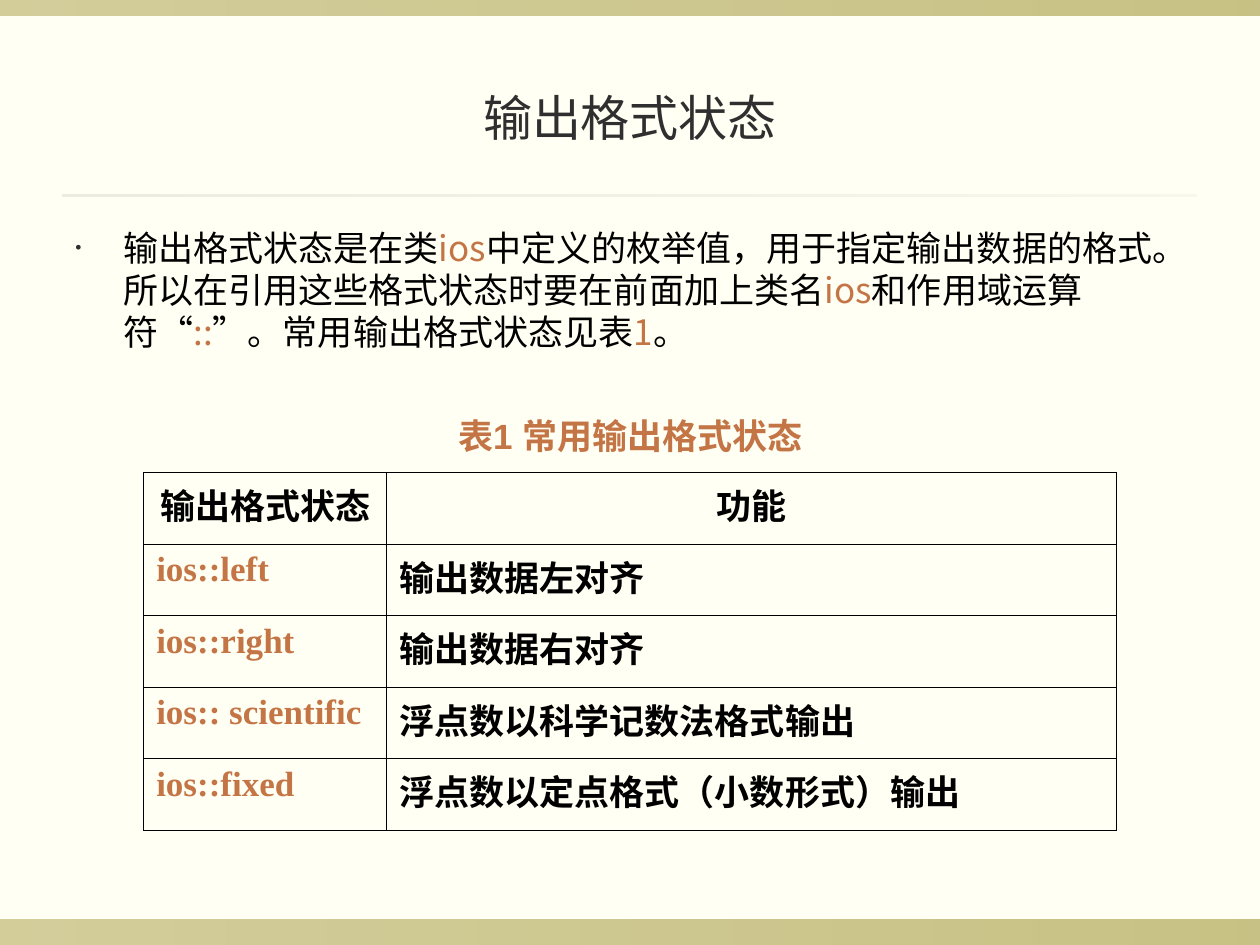
import pptx
import pptx.util
import pptx.dml.color
import pptx.enum.shapes
import pptx.enum.text
import pptx.oxml
import pptx.oxml.ns

Inches, Pt = pptx.util.Inches, pptx.util.Pt
ALIGN = pptx.enum.text.PP_ALIGN
MIDDLE = pptx.enum.text.MSO_ANCHOR.MIDDLE
NS = pptx.oxml.ns.nsdecls("a")

CJK, SERIF = "Noto Sans CJK SC", "Times New Roman"
BLACK, GREY, RUST = "000000", "2F2F2F", "C47546"

TITLE = "输出格式状态"
BODY = [
    ("输出格式状态是在类", BLACK), ("ios", RUST),
    ("中定义的枚举值，用于指定输出数据的格式。所以在引用这些格式状态时要在前面加上类名", BLACK),
    ("ios", RUST), ("和作用域运算符“", BLACK), ("::", RUST),
    ("”。常用输出格式状态见表", BLACK), ("1", RUST), ("。", BLACK),
]
CAPTION = "表1 常用输出格式状态"
ROWS = [
    ("输出格式状态", "功能"),
    ("ios::left", "输出数据左对齐"),
    ("ios::right", "输出数据右对齐"),
    ("ios:: scientific", "浮点数以科学记数法格式输出"),
    ("ios::fixed", "浮点数以定点格式（小数形式）输出"),
]
COLS = (1.93, 5.79)
# left, top, width, height, colour, opacity at left and right
BANDS = [
    (0, 7.3, 10, 0.2, "918415", 40, 50),
    (0, 0, 10, 0.12, "918415", 40, 50),
    (0.5, 1.54, 9, 0.02, "DCD9CC", 50, 20),
]


def rgb(code):
    return pptx.dml.color.RGBColor.from_string(code)


def style(run, size, face, color, bold=False):
    font = run.font
    font.size, font.name, font.bold = Pt(size), face, bold
    font.color.rgb = rgb(color)
    east = pptx.oxml.parse_xml(f'<a:ea {NS} typeface="{CJK}"/>')
    font._element.find(pptx.oxml.ns.qn("a:latin")).addnext(east)


def band(slide, left, top, width, height, color, start, end):
    """Add a bar whose opacity runs from start to end percent."""
    bar = slide.shapes.add_shape(
        pptx.enum.shapes.MSO_SHAPE.RECTANGLE,
        *map(Inches, (left, top, width, height)))
    bar.shadow.inherit = False
    bar.line.fill.background()
    bar.fill.gradient()
    bar.fill.gradient_angle = 0
    for stop, alpha in zip(bar.fill.gradient_stops, (start, end)):
        stop.color.rgb = rgb(color)
        stop._gs[0].append(
            pptx.oxml.parse_xml(f'<a:alpha {NS} val="{alpha * 1000}"/>'))


def text(slide, box, anchor=None):
    frame = slide.shapes.add_textbox(*map(Inches, box)).text_frame
    frame.word_wrap = True
    if anchor is not None:
        frame.vertical_anchor = anchor
    return frame


def line(frame, words, align, *look):
    frame.text = words
    para = frame.paragraphs[0]
    para.alignment = align
    style(para.runs[0], *look)


def bullet(para):
    props = para._p.get_or_add_pPr()
    props.set("marL", str(Inches(0.38)))
    props.set("indent", str(-Inches(0.38)))
    for part in (f'<a:buClr {NS}><a:srgbClr val="{GREY}"/></a:buClr>',
                 f'<a:buSzPct {NS} val="50000"/>',
                 f'<a:buFont {NS} typeface="Arial"/>',
                 f'<a:buChar {NS} char="•"/>'):
        props.append(pptx.oxml.parse_xml(part))


def border(cell):
    props = cell._tc.get_or_add_tcPr()
    for i, side in enumerate(("lnL", "lnR", "lnT", "lnB")):
        props.insert(i, pptx.oxml.parse_xml(
            f'<a:{side} {NS} w="{Pt(0.45)}"><a:solidFill>'
            f'<a:srgbClr val="{BLACK}"/></a:solidFill></a:{side}>'))


def grid(slide):
    shape = slide.shapes.add_table(
        len(ROWS), len(COLS), *map(Inches, (1.14, 3.75, sum(COLS), 2.84)))
    table = shape.table
    table.first_row = table.horz_banding = False
    for col, width in zip(table.columns, COLS):
        col.width = Inches(width)
    for r, row in enumerate(ROWS):
        for c, words in enumerate(row):
            cell = table.cell(r, c)
            cell.fill.background()
            border(cell)
            align = ALIGN.JUSTIFY if r else ALIGN.CENTER
            color = RUST if r and c == 0 else BLACK
            line(cell.text_frame, words, align, 20, SERIF, color, True)


def main():
    deck = pptx.Presentation()
    deck.slide_width, deck.slide_height = Inches(10), Inches(7.5)
    slide = deck.slides.add_slide(deck.slide_layouts[6])
    slide.background.fill.solid()
    slide.background.fill.fore_color.rgb = rgb("FFFFF4")
    for spec in BANDS:
        band(slide, *spec)

    title = text(slide, (0.5, 0.3, 9, 1.25), MIDDLE)
    line(title, TITLE, ALIGN.CENTER, 28, "Karla", GREY)

    para = text(slide, (0.5, 1.75, 9, 1.45)).paragraphs[0]
    bullet(para)
    para.line_spacing = Pt(24)
    for words, color in BODY:
        run = para.add_run()
        run.text = words
        style(run, 20, CJK, color)

    caption = text(slide, (1.16, 3.24, 7.69, 0.44), MIDDLE)
    line(caption, CAPTION, ALIGN.CENTER, 20, "Arial", RUST, True)
    grid(slide)
    deck.save("out.pptx")


if __name__ == "__main__":
    main()
